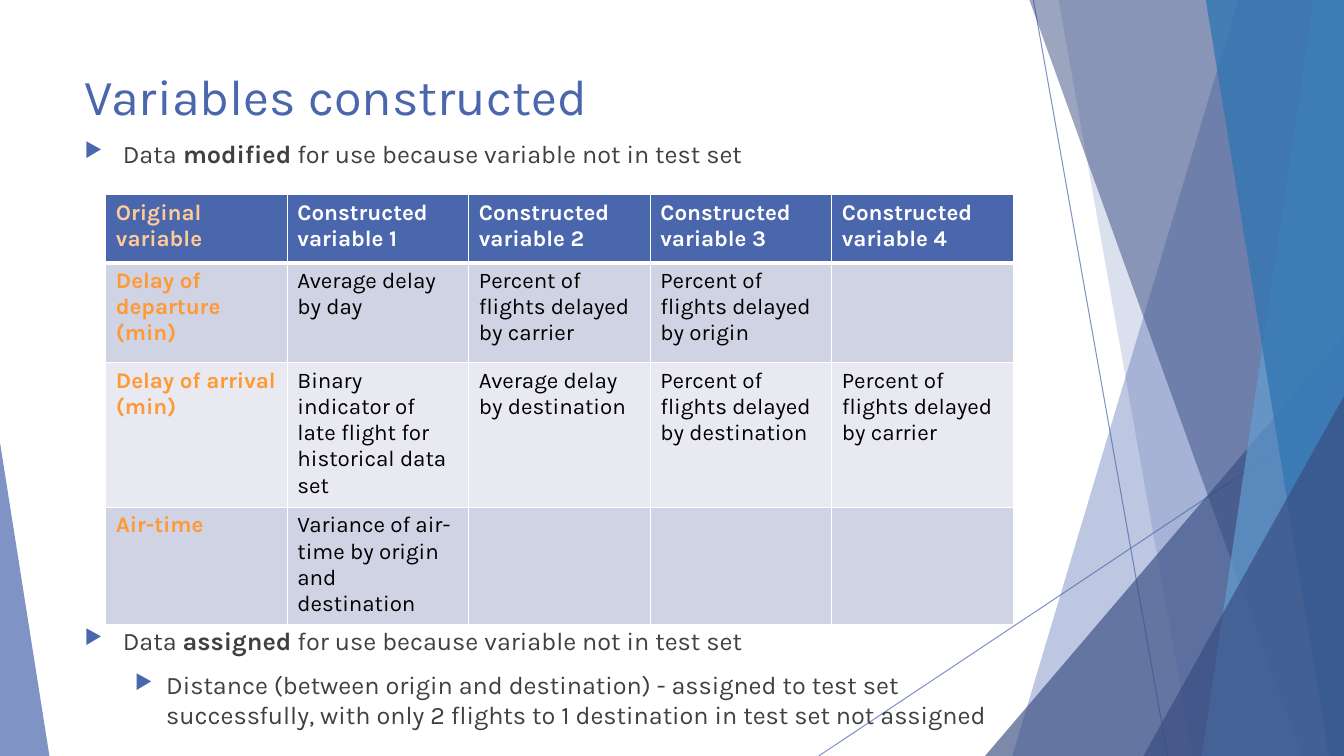
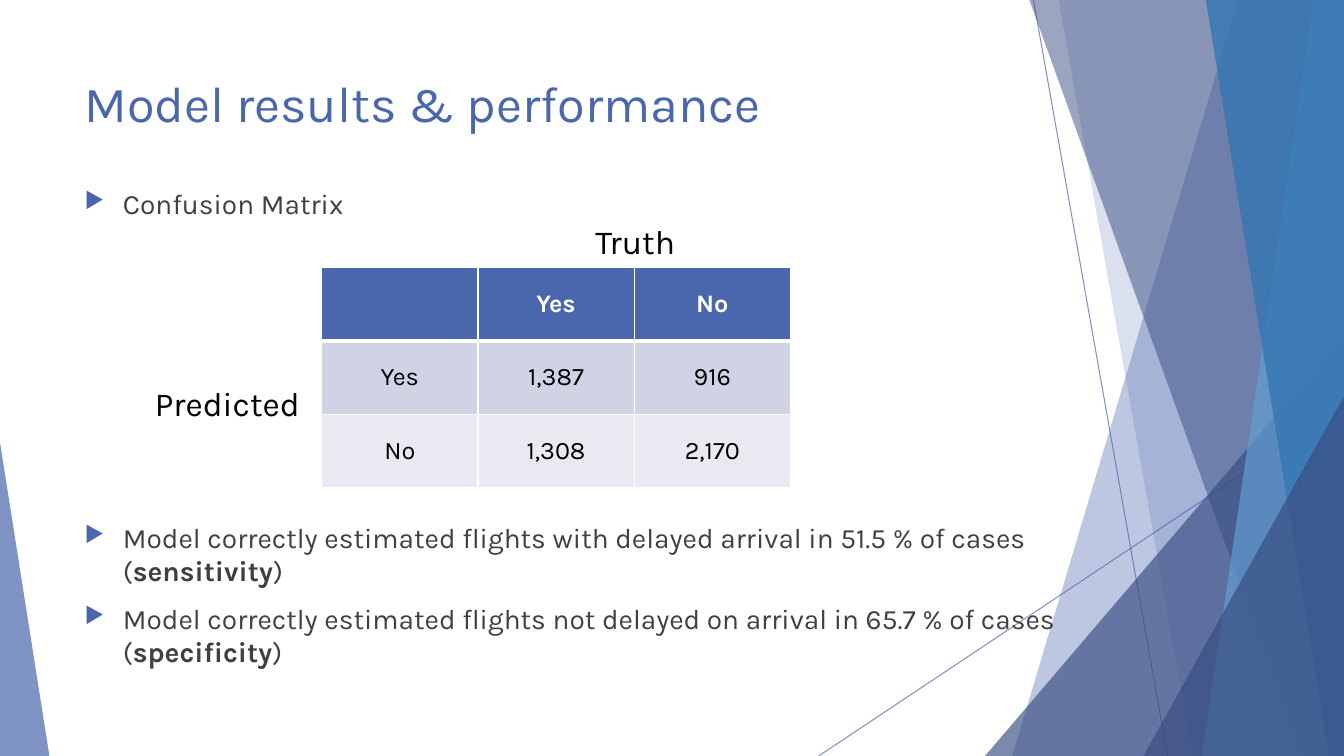
from lxml.etree import SubElement
from pptx import Presentation
from pptx.dml.color import RGBColor
from pptx.enum.shapes import MSO_CONNECTOR, MSO_SHAPE
from pptx.enum.text import MSO_ANCHOR, PP_ALIGN
from pptx.oxml import parse_xml
from pptx.oxml.ns import nsdecls, qn
from pptx.util import Pt

PX = 9144  # EMU per px, 100 px to the inch
WIDTH, HEIGHT = 1333, 750
FONT = "Karla"
TITLE_SIZE, LABEL_SIZE = 36, 24

INDIGO = RGBColor(0x4A, 0x66, 0xAC)
NAVY = RGBColor(0x38, 0x4C, 0x81)
SKY = RGBColor(0x62, 0x9D, 0xD1)
BLUE = RGBColor(0x34, 0x77, 0xB2)
GREY = RGBColor(0x40, 0x40, 0x40)
BLACK = RGBColor(0, 0, 0)
WHITE = RGBColor(0xFF, 0xFF, 0xFF)
PEACH = RGBColor(0xFF, 0xCC, 0x99)
ORANGE = RGBColor(0xFF, 0x99, 0x33)
ROW_FILLS = (RGBColor(0xD0, 0xD3, 0xE3), RGBColor(0xE9, 0xEA, 0xF1))


def set_opacity(shape, percent):
    for color in shape.element.spPr.iter(qn("a:srgbClr")):
        SubElement(color, qn("a:alpha"), val=str(percent * 1000))


class Deck:
    """The shared style and the slide being filled."""

    def __init__(self):
        self.prs = Presentation()
        self.prs.slide_width = WIDTH * PX
        self.prs.slide_height = HEIGHT * PX
        self.shapes = None

    def new_slide(self, title, title_top):
        self.shapes = self.prs.slides.add_slide(self.prs.slide_layouts[6]).shapes
        self.backdrop()
        self.text(title, (74, title_top, 940, 144), TITLE_SIZE, INDIGO)

    def backdrop(self):
        self.hairline((1025, 0), (1158, HEIGHT))
        self.hairline((WIDTH, 403), (812, HEIGHT))
        self.band(1228, 1004, INDIGO, 36)
        self.band(1050, 1183, INDIGO, 20)
        self.triangle((977, 333, 356, 417), 1, NAVY, 66)
        self.band(1021, 1291, NAVY, 50)
        self.band(1303, 1192, SKY, 70)
        self.band(1196, 1318, BLUE, 80)
        self.triangle((1134, 393, 199, 357), 1, NAVY, 66)
        self.triangle((0, 439, 49, 311), 0, INDIGO, 70)

    def hairline(self, start, end):
        line = self.shapes.add_connector(
            MSO_CONNECTOR.STRAIGHT, *(v * PX for v in start + end))
        line.line.color.rgb = INDIGO
        line.line.width = Pt(0.75)
        set_opacity(line, 70)
        SubElement(line.element.spPr, qn("a:effectLst"))

    def band(self, top_x, bottom_x, color, opacity):
        """Fill from a slanted left edge to the right side of the slide."""
        outline = self.shapes.build_freeform(top_x, 0, scale=PX)
        outline.add_line_segments(
            [(WIDTH, 0), (WIDTH, HEIGHT), (bottom_x, HEIGHT)], close=True)
        self.paint(outline.convert_to_shape(), color, opacity)

    def triangle(self, box, apex, color, opacity):
        shape = self.shapes.add_shape(
            MSO_SHAPE.ISOSCELES_TRIANGLE, *(v * PX for v in box))
        shape.adjustments[0] = apex
        self.paint(shape, color, opacity)

    def paint(self, shape, color, opacity):
        shape.shadow.inherit = False
        shape.fill.solid()
        shape.fill.fore_color.rgb = color
        shape.line.fill.background()
        set_opacity(shape, opacity)

    def frame(self, box):
        frame = self.shapes.add_textbox(*(v * PX for v in box)).text_frame
        frame.word_wrap = True
        return frame

    def run(self, paragraph, words, size, color, bold=False):
        run = paragraph.add_run()
        run.text = words
        run.font.name = FONT
        run.font.size = Pt(size)
        run.font.bold = bold
        run.font.color.rgb = color

    def text(self, words, box, size, color, align=PP_ALIGN.LEFT):
        paragraph = self.frame(box).paragraphs[0]
        paragraph.alignment = align
        self.run(paragraph, words, size, color)

    def label(self, words, box):
        self.text(words, box, LABEL_SIZE, BLACK, PP_ALIGN.CENTER)

    def bullets(self, items, box, size):
        """Each item is (level, parts); every second part is bold."""
        frame = self.frame(box)
        for number, (level, parts) in enumerate(items):
            paragraph = frame.add_paragraph() if number else frame.paragraphs[0]
            paragraph.level = level
            paragraph.space_before = Pt(10)
            props = paragraph._p.get_or_add_pPr()
            margin, hang = ((38, 38), (81, 31))[level]
            props.set("marL", str(margin * PX))
            props.set("indent", str(-hang * PX))
            color = SubElement(props, qn("a:buClr"))
            SubElement(color, qn("a:srgbClr"), val=str(INDIGO))
            SubElement(props, qn("a:buSzPct"), val="80000")
            SubElement(props, qn("a:buChar"), char="▶")
            for index, words in enumerate(parts):
                self.run(paragraph, words, size, GREY, index % 2 == 1)

    def table(self, rows, left, top, col_width, heights, size,
              centred=False, orange_names=False):
        columns = len(rows[0])
        table = self.shapes.add_table(
            len(rows), columns, left * PX, top * PX,
            columns * col_width * PX, sum(heights) * PX).table
        for column in table.columns:
            column.width = col_width * PX
        for r, (row, height) in enumerate(zip(rows, heights)):
            table.rows[r].height = height * PX
            for c, words in enumerate(row):
                cell = table.cell(r, c)
                is_name = orange_names and c == 0
                cell.fill.solid()
                cell.fill.fore_color.rgb = ROW_FILLS[(r - 1) % 2] if r else INDIGO
                self.borders(cell, r)
                paragraph = cell.text_frame.paragraphs[0]
                if centred:
                    cell.vertical_anchor = MSO_ANCHOR.MIDDLE
                    paragraph.alignment = PP_ALIGN.CENTER
                if r == 0:
                    color = PEACH if is_name else WHITE
                else:
                    color = ORANGE if is_name else BLACK
                if words:
                    self.run(paragraph, words, size, color, r == 0 or is_name)

    def borders(self, cell, row):
        """White edges, thick between the header and the first row."""
        widths = {"L": 1, "R": 1, "T": 3 if row == 1 else 1, "B": 1 if row else 3}
        props = cell._tc.get_or_add_tcPr()
        for position, (side, width) in enumerate(widths.items()):
            props.insert(position, parse_xml(
                f'<a:ln{side} {nsdecls("a")} w="{Pt(width)}"><a:solidFill>'
                f'<a:srgbClr val="{WHITE}"/></a:solidFill></a:ln{side}>'))


def variables_slide(deck):
    deck.new_slide("Variables constructed", 60)
    reason = " for use because variable not in test set"
    deck.bullets([(0, ["Data", " modified", reason])], (74, 132, 963, 45), 18)
    deck.bullets([
        (0, ["Data ", "assigned", reason]),
        (1, ["Distance (between origin and destination) - assigned to test set "
             "successfully, with only 2 flights to 1 destination in test set "
             "not assigned"]),
    ], (74, 615, 963, 122), 18)
    deck.table([
        ["Original variable"] + [f"Constructed variable {n}" for n in range(1, 5)],
        ["Delay of departure (min)", "Average delay by day",
         "Percent of flights delayed by carrier",
         "Percent of flights delayed by origin", ""],
        ["Delay of arrival (min)",
         "Binary indicator of late flight for historical data set",
         "Average delay by destination",
         "Percent of flights delayed by destination",
         "Percent of flights delayed by carrier"],
        ["Air-time", "Variance of air-time by origin and destination", "", "", ""],
    ], 105, 193, 180, (68, 99, 140, 114), 16, orange_names=True)


def results_slide(deck):
    deck.new_slide("Model results & performance", 67)
    deck.bullets([(0, ["Confusion Matrix"])], (74, 180, 998, 45), 20)
    deck.bullets([
        (0, ["Model correctly estimated flights with delayed arrival in "
             "51.5 % of cases (", "sensitivity", ")"]),
        (0, ["Model correctly estimated flights not delayed on arrival in "
             "65.7 % of cases (", "specificity", ")"]),
    ], (74, 511, 998, 195), 20)
    deck.table([
        ["", "Yes", "No"],
        ["Yes", "1,387", "916"],
        ["No", "1,308", "2,170"],
    ], 319, 265, 155, (73, 73, 73), 18, centred=True)
    deck.label("Truth", (476, 214, 308, 50))
    deck.label("Predicted", (90, 375, 271, 50))


def main():
    deck = Deck()
    variables_slide(deck)
    results_slide(deck)
    deck.prs.save("out.pptx")


if __name__ == "__main__":
    main()
